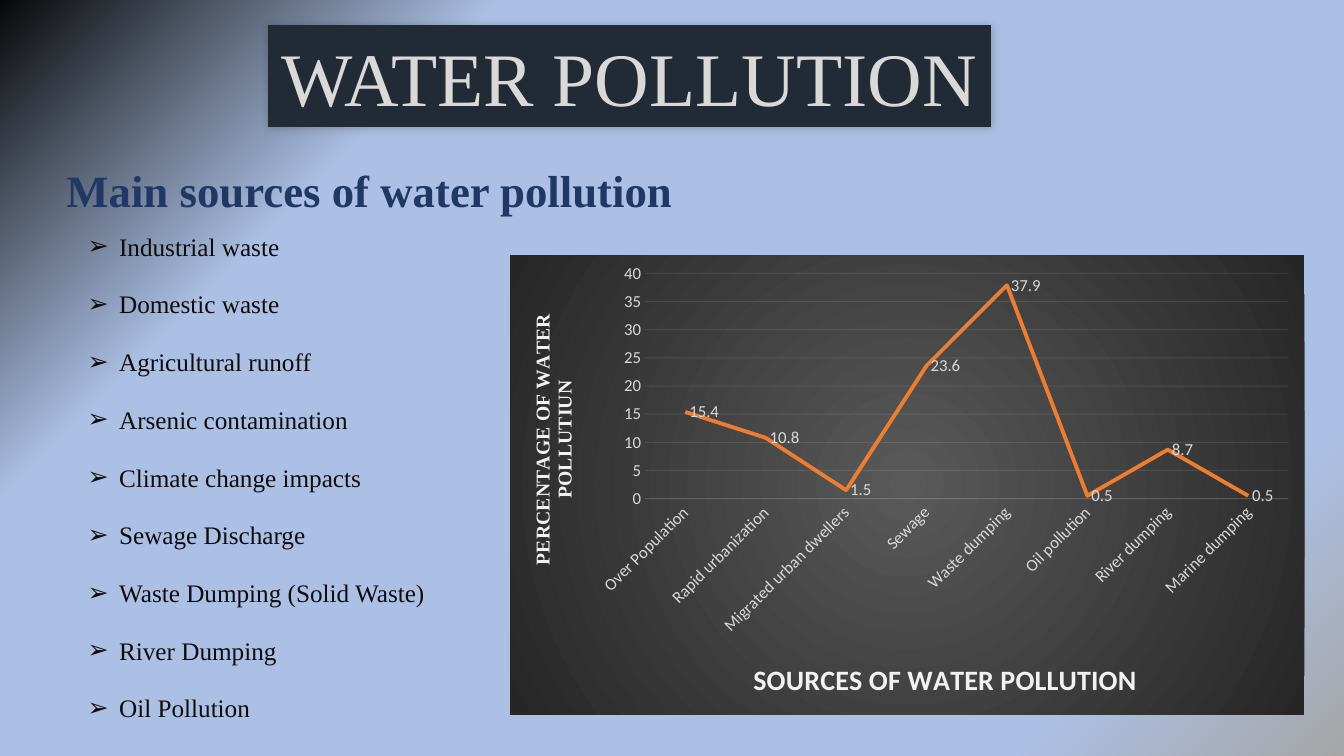
from pptx import Presentation
from pptx.chart.data import CategoryChartData
from pptx.dml.color import RGBColor
from pptx.enum.chart import XL_CHART_TYPE, XL_LABEL_POSITION, XL_TICK_MARK
from pptx.enum.text import MSO_ANCHOR, MSO_AUTO_SIZE, PP_ALIGN
from pptx.oxml import parse_xml
from pptx.oxml.ns import nsdecls, qn
from pptx.util import Pt

LINE_STACKED = XL_CHART_TYPE.LINE_STACKED
RIGHT = XL_LABEL_POSITION.RIGHT
NO_TICK = XL_TICK_MARK.NONE
TOP, MIDDLE = MSO_ANCHOR.TOP, MSO_ANCHOR.MIDDLE
LEFT, CENTER = PP_ALIGN.LEFT, PP_ALIGN.CENTER
NO_FIT = MSO_AUTO_SIZE.NONE

TITLE = "WATER POLLUTION"
HEADING = "Main sources of water pollution"
SOURCES = [
    "Industrial waste",
    "Domestic waste",
    "Agricultural runoff",
    "Arsenic contamination",
    "Climate change impacts",
    "Sewage Discharge",
    "Waste Dumping (Solid Waste)",
    "River Dumping",
    "Oil Pollution",
]
SHARES = {
    "Over Population": 15.4,
    "Rapid urbanization": 10.8,
    "Migrated urban dwellers": 1.5,
    "Sewage": 23.6,
    "Waste dumping": 37.9,
    "Oil pollution": 0.5,
    "River dumping": 8.7,
    "Marine dumping": 0.5,
}
X_TITLE = "SOURCES OF WATER POLLUTION"
Y_TITLE = "PERCENTAGE OF WATER POLLUTIUN"

COLORS = {
    "banner": "222A35", "title": "D9D9D9", "heading": "203864",
    "body": "0D0D0D", "label": "D9D9D9", "axis": "F2F2F2",
    "series": "ED7D31",
}
BACKGROUND = [(0, "080808"), (24, "ABC0E4"), (84, "ABC0E4"), (100, "A6A6A6")]
CHART_FILL = [(0, "595959"), (100, "262626")]
SERIF, SANS = "Times New Roman", "Calibri"
INDENT = 22.5
PITCH = 40.32
BODY_LINE = 20.68


def rgb(name):
    return RGBColor.from_string(COLORS[name])


def style(font, size, color, face=SERIF, bold=False):
    font.size, font.name, font.bold = Pt(size), face, bold
    font.color.rgb = rgb(color)


def write(p, text, align=LEFT, bullet=None, gap=0, **fmt):
    p.alignment = align
    p.line_spacing = 1.0
    p.space_before, p.space_after = Pt(0), Pt(gap)
    if bullet:
        pPr = p._p.get_or_add_pPr()
        pPr.set("marL", str(Pt(INDENT)))
        pPr.set("indent", str(-Pt(INDENT)))
        pPr.append(parse_xml(f'<a:buChar {nsdecls("a")} char="{bullet}"/>'))
    r = p.add_run()
    r.text = text
    style(r.font, **fmt)


def move(sp, left, top, width, height):
    sp.left, sp.top, sp.width, sp.height = map(Pt, (left, top, width, height))


def frame(sp, anchor, wrap=True):
    tf = sp.text_frame
    tf.auto_size, tf.word_wrap, tf.vertical_anchor = NO_FIT, wrap, anchor
    return tf


def gradient(stops, direction):
    gs = "".join(f'<a:gs pos="{pos * 1000}"><a:srgbClr val="{c}"/></a:gs>'
                 for pos, c in stops)
    return parse_xml(f'<a:gradFill {nsdecls("a")} rotWithShape="1">'
                     f'<a:gsLst>{gs}</a:gsLst>{direction}</a:gradFill>')


def place(parent, index, **fractions):
    old = parent.find(qn("c:layout"))
    if old is not None:
        parent.remove(old)
    target = '<c:layoutTarget val="inner"/>' if "w" in fractions else ""
    modes = "".join(f'<c:{k}Mode val="edge"/>' for k in "xy")
    values = "".join(f'<c:{k} val="{v}"/>' for k, v in fractions.items())
    parent.insert(index, parse_xml(
        f'<c:layout {nsdecls("c")}><c:manualLayout>{target}{modes}{values}'
        '</c:manualLayout></c:layout>'))


def faint(line):
    line.width = Pt(0.75)
    line.color.rgb = rgb("axis")
    clr = next(line._ln.iter(qn("a:srgbClr")))
    clr.append(parse_xml(f'<a:alpha {nsdecls("a")} val="10000"/>'))


def format_axis(axis, title, size, face, x, y):
    axis.major_tick_mark = axis.minor_tick_mark = NO_TICK
    style(axis.tick_labels.font, 12, "label", SANS)
    tf = axis.axis_title.text_frame
    write(tf.paragraphs[0], title, CENTER, size=size, color="axis",
          face=face, bold=True)
    place(axis.axis_title._element, 1, x=x, y=y)


def add_source_chart(s):
    data = CategoryChartData()
    data.categories = list(SHARES)
    data.add_series("Series 1", list(SHARES.values()))
    chart = s.shapes.add_chart(LINE_STACKED, Pt(364.3), Pt(182.2), Pt(567.4),
                               Pt(328.3), data).chart
    chart.has_legend = chart.has_title = False
    chart.font.size, chart.font.name = Pt(10), SANS
    spPr = parse_xml(f'<c:spPr {nsdecls("c", "a")}/>')
    spPr.append(gradient(CHART_FILL, '<a:path path="circle"><a:fillToRect '
                         'l="50000" t="50000" r="50000" b="50000"/></a:path>'))
    spPr.append(parse_xml(f'<a:ln {nsdecls("a")}><a:noFill/></a:ln>'))
    chart._chartSpace.find(qn("c:txPr")).addprevious(spPr)

    cat, val = chart.category_axis, chart.value_axis
    format_axis(cat, X_TITLE, 20, SANS, 0.3, 0.87)
    format_axis(val, Y_TITLE, 14, SERIF, 0.02, 0.12)
    cat._element.find(qn("c:txPr")).find(qn("a:bodyPr")).set("rot", "-2700000")
    bodyPr = next(val.axis_title._element.iter(qn("a:bodyPr")))
    bodyPr.set("rot", "-5400000")
    bodyPr.set("vert", "horz")
    faint(cat.format.line)
    val.format.line.fill.background()
    faint(val.major_gridlines.format.line)
    val.minimum_scale, val.maximum_scale, val.major_unit = 0, 40, 5

    plot = chart.plots[0]
    plot.vary_by_categories = False
    ser = plot.series[0]
    ser.smooth = False
    ser.format.line.color.rgb = rgb("series")
    ser.format.line.width = Pt(2.75)
    labels = ser.data_labels
    labels.show_value = True
    labels.position = RIGHT
    style(labels.font, 12, "label", SANS)
    plot_area = next(chart._chartSpace.iter(qn("c:plotArea")))
    place(plot_area, 0, x=0.17, y=0.04, w=0.81, h=0.49)


def main():
    prs = Presentation()
    prs.slide_width, prs.slide_height = Pt(960), Pt(540)
    s = prs.slides.add_slide(prs.slide_layouts[1])
    s.background.fill.solid()
    bgPr = next(s.element.iter(qn("p:bgPr")))
    bgPr.replace(bgPr[0], gradient(BACKGROUND,
                                   '<a:lin ang="2700000" scaled="0"/>'))

    banner, body = s.shapes.title, s.placeholders[1]
    move(banner, 191.5, 18, 516.3, 72.7)
    banner.fill.solid()
    banner.fill.fore_color.rgb = rgb("banner")
    banner.line.color.rgb = rgb("banner")
    banner.line.width = Pt(0.75)
    effects = parse_xml(
        f'<a:effectLst {nsdecls("a")}><a:outerShdw blurRad="{Pt(6)}" dist="0" '
        'dir="13500000"><a:srgbClr val="000000"><a:alpha val="20000"/>'
        '</a:srgbClr></a:outerShdw></a:effectLst>')
    banner._element.spPr.append(effects)
    write(frame(banner, MIDDLE, wrap=False).paragraphs[0], TITLE, CENTER,
          size=54, color="title")

    heading = s.shapes.add_textbox(Pt(40.3), Pt(113), Pt(461.5), Pt(46))
    write(frame(heading, TOP).paragraphs[0], HEADING, size=32,
          color="heading", bold=True)

    move(body, 55.4, 161.3, 278, PITCH * len(SOURCES))
    tf = frame(body, TOP)
    for i, source in enumerate(SOURCES):
        p = tf.add_paragraph() if i else tf.paragraphs[0]
        write(p, source, bullet="➢", gap=PITCH - BODY_LINE, size=18,
              color="body")

    add_source_chart(s)
    prs.save("out.pptx")


if __name__ == "__main__":
    main()
